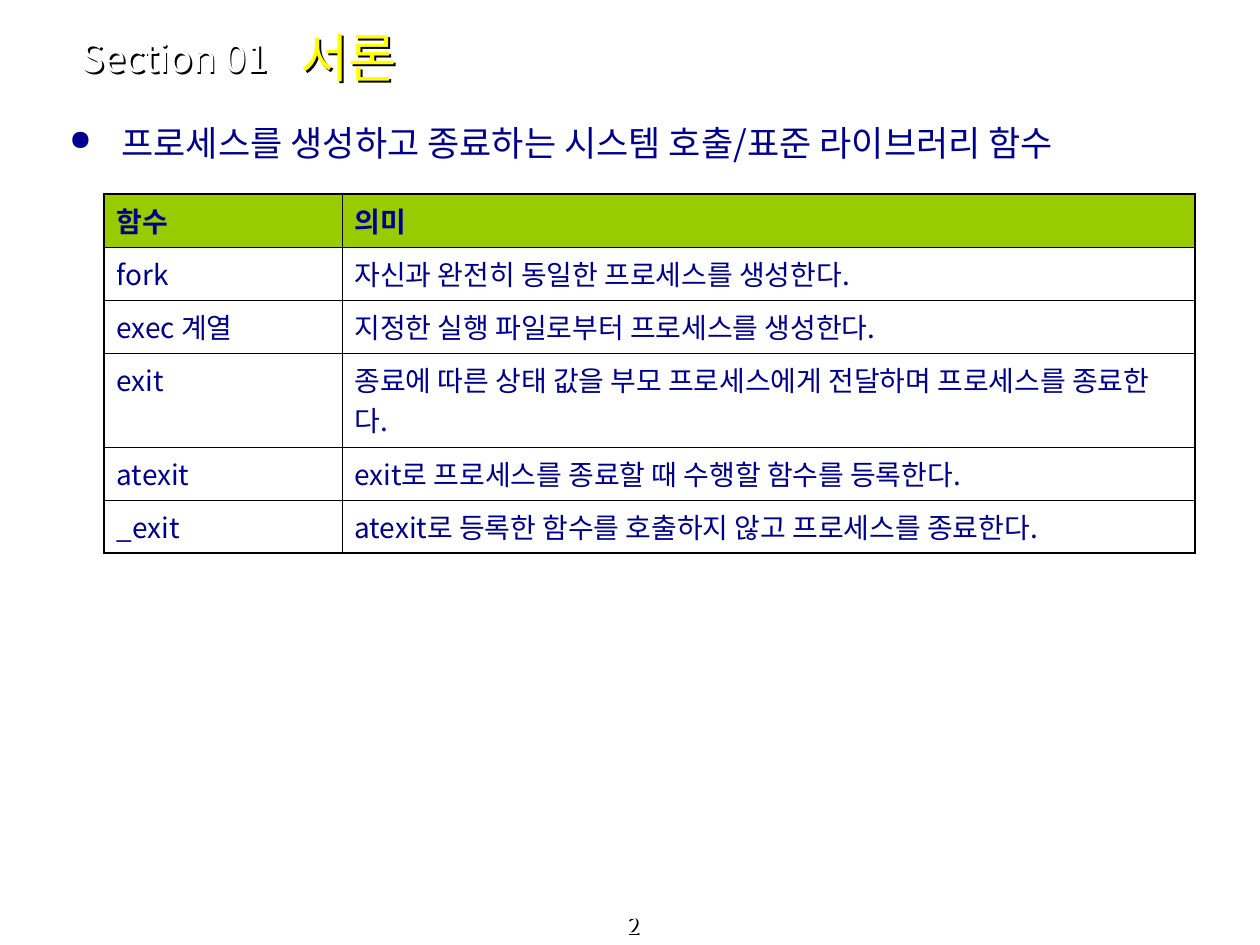
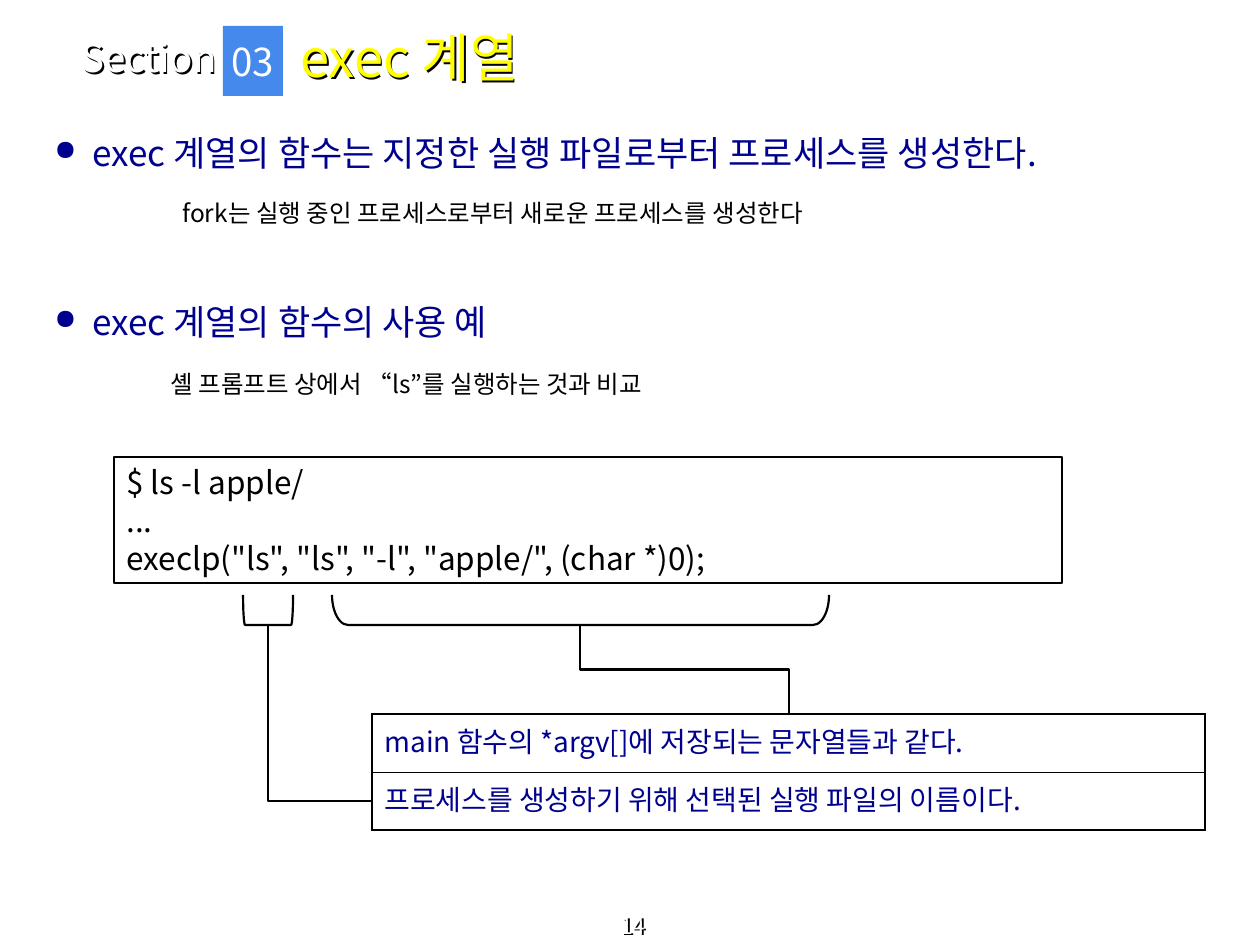
from lxml import etree
from pptx import Presentation
from pptx import util as u
from pptx.dml.color import RGBColor
from pptx.enum import shapes, text
from pptx.oxml.ns import qn

FONT = "Noto Sans CJK KR"
COLORS = {
    "navy": "00008E",
    "black": "000000",
    "white": "FFFFFF",
    "yellow": "FFFF00",
    "green": "99CC00",
    "blue": "4589ED",
}
THICK, THIN = 1.08, 0.45
OUTLINE = 1.25

FUNCTIONS = [
    ("함수", "의미"),
    ("fork", "자신과 완전히 동일한 프로세스를 생성한다."),
    ("exec 계열", "지정한 실행 파일로부터 프로세스를 생성한다."),
    ("exit", "종료에 따른 상태 값을 부모 프로세스에게 전달하며 프로세스를 종료한다."),
    ("atexit", "exit로 프로세스를 종료할 때 수행할 함수를 등록한다."),
    ("_exit", "atexit로 등록한 함수를 호출하지 않고 프로세스를 종료한다."),
]
ARGUMENT_NOTES = [
    ("main 함수의 *argv[]에 저장되는 문자열들과 같다.",),
    ("프로세스를 생성하기 위해 선택된 실행 파일의 이름이다.",),
]
CODE = """$ ls -l apple/
...
execlp("ls", "ls", "-l", "apple/", (char *)0);"""


def px(length):
    return u.Inches(length / 126)


def rgb(name):
    return RGBColor.from_string(COLORS[name])


def write(frame, content, size, color, bold=False, align=text.PP_ALIGN.LEFT,
          anchor=text.MSO_ANCHOR.TOP, bullet=None):
    """Fill a text frame; bullet is the (start, text) indent in px."""
    frame.word_wrap = True
    frame.vertical_anchor = anchor
    for index, line in enumerate(content.split("\n")):
        paragraph = frame.add_paragraph() if index else frame.paragraphs[0]
        paragraph.alignment = align
        paragraph._p.get_or_add_pPr().set("hangingPunct", "0")
        if bullet:
            add_bullet(paragraph, *bullet)
        run = paragraph.add_run()
        run.text = line
        font = run.font
        font.name, font.size, font.bold = FONT, u.Pt(size), bold
        font.color.rgb = rgb(color)
        east_asian = etree.Element(qn("a:ea"), typeface=FONT)
        run._r.rPr.find(qn("a:latin")).addnext(east_asian)


def add_bullet(paragraph, start, text_start):
    properties = paragraph._p.get_or_add_pPr()
    properties.set("marL", str(px(text_start)))
    properties.set("indent", str(px(start - text_start)))
    bullet_color = etree.SubElement(properties, qn("a:buClr"))
    etree.SubElement(bullet_color, qn("a:srgbClr"), val=COLORS["navy"])
    etree.SubElement(properties, qn("a:buSzPct"), val="80000")
    etree.SubElement(properties, qn("a:buChar"), char="●")


def add_shadow(label):
    """Hard black shadow, cast by the letters of an unfilled box."""
    effects = etree.SubElement(label._element.spPr, qn("a:effectLst"))
    outer = etree.SubElement(effects, qn("a:outerShdw"), blurRad="0",
                             dist="17961", dir="2700000")
    etree.SubElement(outer, qn("a:srgbClr"), val=COLORS["black"])


def add_label(slide, box, content, size, color, shadow=False, **style):
    label = slide.shapes.add_textbox(*map(px, box))
    write(label.text_frame, content, size, color, **style)
    if shadow:
        add_shadow(label)


def add_panel(slide, box, kind=shapes.MSO_SHAPE.RECTANGLE, fill=None, line=None):
    panel = slide.shapes.add_shape(kind, *map(px, box))
    panel.shadow.inherit = False
    if fill:
        panel.fill.solid()
        panel.fill.fore_color.rgb = rgb(fill)
    else:
        panel.fill.background()
    if line:
        panel.line.color.rgb = rgb(line)
        panel.line.width = u.Pt(OUTLINE)
    else:
        panel.line.fill.background()
    return panel


def add_frame(slide, section, title, page):
    """Section label, title and page number that every slide carries."""
    middle = text.MSO_ANCHOR.MIDDLE
    add_label(slide, (3, 917, 1260, 28), page, 13, "white", shadow=True,
              align=text.PP_ALIGN.CENTER, anchor=text.MSO_ANCHOR.BOTTOM)
    add_label(slide, (69, 34, 243, 47), section, 22, "white",
              anchor=middle, shadow=True)
    add_label(slide, (288, 14, 818, 86), title, 30, "yellow",
              anchor=middle, shadow=True)


def add_bullet_line(slide, top, content, bullet):
    add_label(slide, (42, top, 1176, 59), content, 20, "navy", bullet=bullet)


def add_remark(slide, left, top, content):
    add_label(slide, (left, top, 1017, 59), content, 14, "black")


def set_borders(cell, widths):
    """Draw left, right, top and bottom borders, widths in points."""
    properties = cell._tc.get_or_add_tcPr()
    for index, (side, width) in enumerate(zip("LRTB", widths)):
        border = etree.Element(qn(f"a:ln{side}"), w=str(u.Pt(width)))
        fill = etree.SubElement(border, qn("a:solidFill"))
        etree.SubElement(fill, qn("a:srgbClr"), val=COLORS["black"])
        properties.insert(index, border)


def add_grid(slide, left, top, widths, heights, rows, header=False):
    """Table with a thick frame, thin inner rules and an optional header."""
    grid = slide.shapes.add_table(
        len(heights), len(widths), px(left), px(top),
        px(sum(widths)), px(sum(heights))).table
    grid.first_row = grid.horz_banding = False
    for column, width in zip(grid.columns, widths):
        column.width = px(width)
    for row, height in zip(grid.rows, heights):
        row.height = px(height)
    last_row, last_column = len(heights) - 1, len(widths) - 1
    for r, row in enumerate(rows):
        for c, content in enumerate(row):
            cell = grid.cell(r, c)
            is_header = header and r == 0
            if is_header:
                cell.fill.solid()
                cell.fill.fore_color.rgb = rgb("green")
            else:
                cell.fill.background()
            cell.margin_left = cell.margin_right = u.Inches(0.1)
            cell.margin_top = cell.margin_bottom = u.Inches(0.05)
            write(cell.text_frame, content, 16, "navy", bold=is_header)
            on_edge = (c == 0, c == last_column, r == 0, r == last_row)
            set_borders(cell, [THICK if edge else THIN for edge in on_edge])


def add_brace(slide, left, top, span, depth, radius):
    """Bracket open at the top, drawn as a right bracket turned by 90°."""
    shift = (span - depth) / 2
    brace = add_panel(slide, (left + shift, top - shift, depth, span),
                      shapes.MSO_SHAPE.RIGHT_BRACKET, line="black")
    brace.adjustments[0] = radius / depth
    brace.rotation = 90


def add_elbow(slide, box, preset, rotation, flip=False):
    """Bent line inside box; rotation in degrees, as the box is seen."""
    left, top, width, height = box
    if rotation % 180:
        shift = (width - height) / 2
        left, top, width, height = left + shift, top - shift, height, width
    elbow = slide.shapes.add_connector(
        shapes.MSO_CONNECTOR.ELBOW, px(left), px(top),
        px(left + width), px(top + height))
    elbow.line.color.rgb = rgb("black")
    elbow.line.width = u.Pt(OUTLINE)
    properties = elbow._element.spPr
    etree.SubElement(properties, qn("a:effectLst"))
    properties.find(qn("a:prstGeom")).set("prst", preset)
    transform = properties.find(qn("a:xfrm"))
    transform.set("rot", str(rotation * 60000))
    if flip:
        transform.set("flipH", "1")


def add_code_diagram(slide, left, top):
    """Code box with the call's arguments tied to their explanations."""
    code = add_panel(slide, (left, top, 948, 126), line="black")
    write(code.text_frame, CODE, 18, "black", anchor=text.MSO_ANCHOR.MIDDLE)
    add_grid(slide, left + 258, top + 257, [833], [58, 58], ARGUMENT_NOTES)
    add_brace(slide, left + 218, top + 138, span=497, depth=30, radius=16)
    add_brace(slide, left + 129, top + 138, span=50, depth=30, radius=2)
    add_elbow(slide, (left + 154, top + 169, 104, 175), "bentConnector2", 180)
    add_elbow(slide, (left + 466, top + 168, 209, 89), "bentConnector3", 270,
              flip=True)


def build_introduction(slide):
    add_frame(slide, "Section 01", "서론", "2")
    add_bullet_line(slide, 115,
                    "프로세스를 생성하고 종료하는 시스템 호출/표준 라이브러리 함수",
                    bullet=(15, 67))
    add_grid(slide, 104, 194, [238, 853], [53, 53, 53, 94, 53, 53],
             FUNCTIONS, header=True)


def build_exec_family(slide):
    add_frame(slide, "Section", "exec 계열", "14")
    number = add_panel(slide, (223, 26, 60, 70), fill="blue")
    write(number.text_frame, "03", 22, "white", align=text.PP_ALIGN.CENTER,
          anchor=text.MSO_ANCHOR.MIDDLE)
    number.text_frame.word_wrap = False
    add_bullet_line(slide, 125,
                    "exec 계열의 함수는 지정한 실행 파일로부터 프로세스를 생성한다.",
                    bullet=(0, 38))
    add_remark(slide, 170, 192,
               "fork는 실행 중인 프로세스로부터 새로운 프로세스를 생성한다")
    add_bullet_line(slide, 294, "exec 계열의 함수의 사용 예", bullet=(0, 38))
    add_remark(slide, 158, 363, "셸 프롬프트 상에서 “ls”를 실행하는 것과 비교")
    add_code_diagram(slide, 114, 457)


def main():
    deck = Presentation()
    deck.slide_width, deck.slide_height = px(1260), px(945)
    blank = deck.slide_layouts[6]
    for build in (build_introduction, build_exec_family):
        build(deck.slides.add_slide(blank))
    deck.save("out.pptx")


if __name__ == "__main__":
    main()
